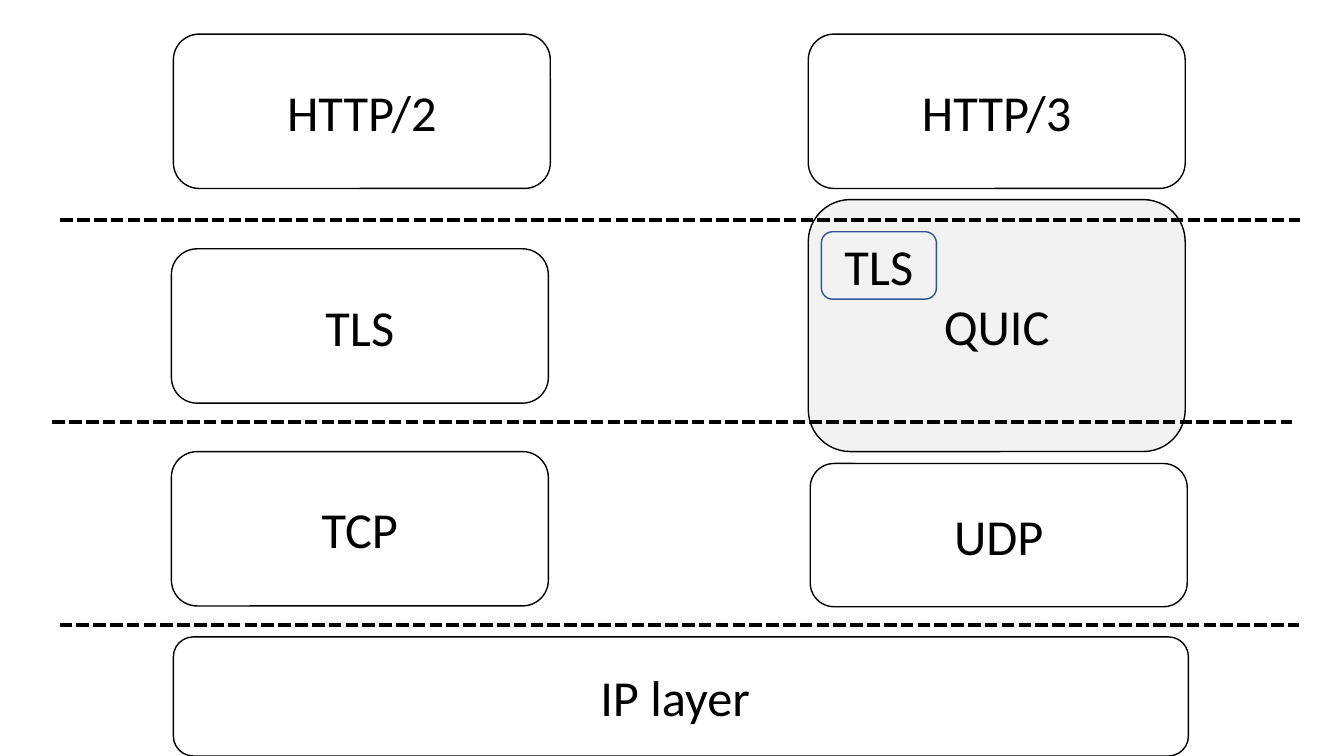
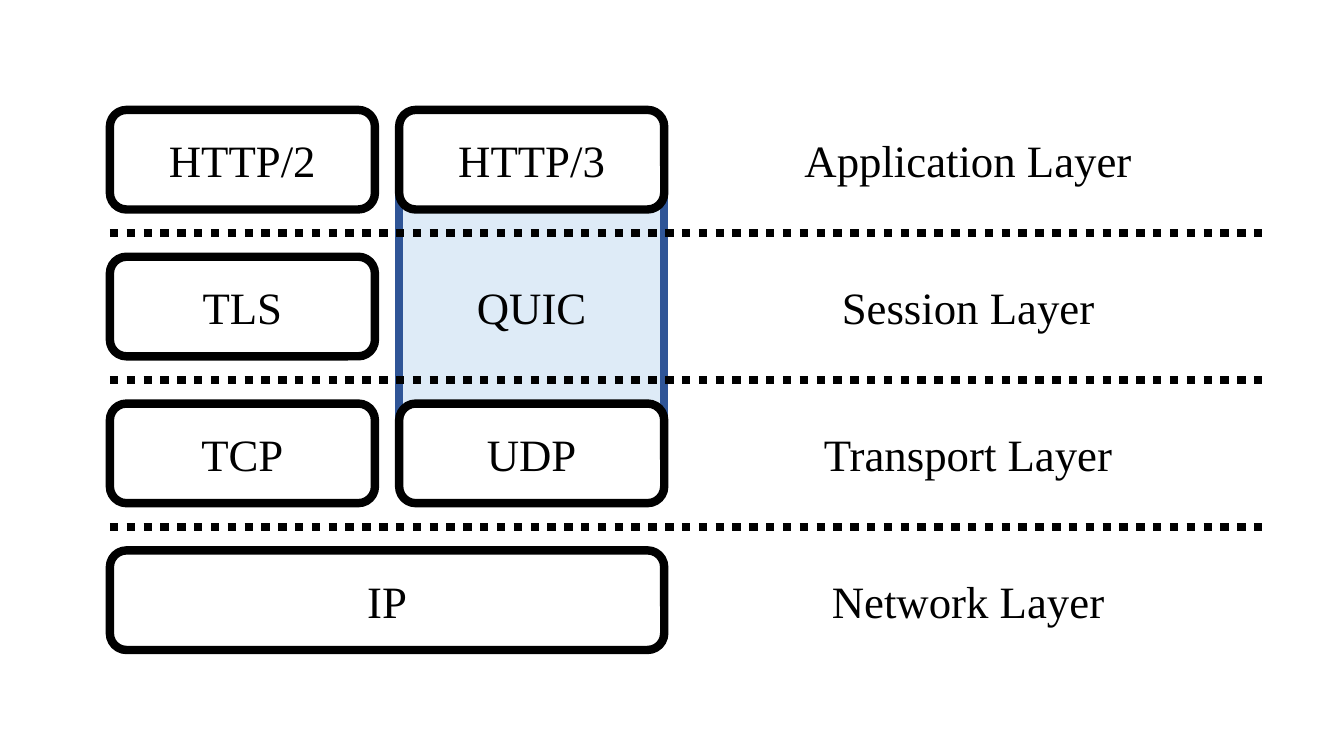
from dataclasses import dataclass

from lxml import etree
from pptx import Presentation
from pptx import util as u
from pptx.dml.color import RGBColor
from pptx.enum import dml, shapes, text
from pptx.oxml import ns

BLANK_LAYOUT = 6
SHAPE = shapes.MSO_SHAPE
DASH = dml.MSO_LINE


@dataclass(frozen=True)
class Theme:
    ink: str = "000000"
    paper: str = "FFFFFF"
    grey: str = "F2F2F2"
    pale_blue: str = "DEEBF7"
    blue: str = "2F5597"
    tls_blue: str = "325491"
    sans: str = "Calibri"
    serif: str = "Times New Roman"
    sans_size: int = 36
    serif_size: int = 32
    thin: int = 1
    medium: int = 3
    thick: int = 6


THEME = Theme()


def write_text(frame, words, font, size, color=THEME.ink, wrap=True):
    frame.word_wrap = wrap
    frame.vertical_anchor = text.MSO_ANCHOR.MIDDLE
    paragraph = frame.paragraphs[0]
    paragraph.alignment = text.PP_ALIGN.CENTER
    run = paragraph.add_run()
    run.text = words
    run.font.name = font
    run.font.size = u.Pt(size)
    run.font.color.rgb = RGBColor.from_string(color)


class Diagram:
    def __init__(self, presentation, font, size, kind, outline):
        layout = presentation.slide_layouts[BLANK_LAYOUT]
        self.slide = presentation.slides.add_slide(layout)
        self.font = font
        self.size = size
        self.kind = kind
        self.outline = outline

    def box(self, left, top, width, height, words="", fill=None,
            line=THEME.ink, kind=None):
        shape = self.slide.shapes.add_shape(
            kind or self.kind, u.Cm(left), u.Cm(top), u.Cm(width), u.Cm(height))
        shape.shadow.inherit = False
        if fill:
            shape.fill.solid()
            shape.fill.fore_color.rgb = RGBColor.from_string(fill)
        else:
            shape.fill.background()
        if line:
            shape.line.color.rgb = RGBColor.from_string(line)
            shape.line.width = u.Pt(self.outline)
        else:
            shape.line.fill.background()
        if words:
            write_text(shape.text_frame, words, font=self.font, size=self.size)

    def line(self, start, end, color=THEME.ink, width=THEME.thick, dash=None):
        connector = self.slide.shapes.add_connector(
            shapes.MSO_CONNECTOR.STRAIGHT, *map(u.Cm, start + end))
        connector.line.color.rgb = RGBColor.from_string(color)
        connector.line.width = u.Pt(width)
        if dash:
            connector.line.dash_style = dash
        etree.SubElement(connector._element.spPr, ns.qn("a:effectLst"))

    def label(self, center, middle, width, words, height=1.63):
        shape = self.slide.shapes.add_textbox(
            u.Cm(center - width / 2), u.Cm(middle - height / 2),
            u.Cm(width), u.Cm(height))
        write_text(shape.text_frame, words, font=self.font, size=self.size,
                   wrap=False)


def build_protocol_stacks(presentation):
    diagram = Diagram(presentation, THEME.sans, THEME.sans_size,
                      SHAPE.FLOWCHART_ALTERNATE_PROCESS, THEME.thin)
    width, height = 9.5, 3.89
    diagram.box(4.37, 16.05, 25.58, 3, "IP layer ")
    for left, top, words in ((4.37, 0.86, "HTTP/2"), (4.32, 6.27, "TLS"),
                             (4.32, 11.38, "TCP"), (20.37, 0.86, "HTTP/3")):
        diagram.box(left, top, width, height, words)
    diagram.box(20.42, 11.68, width, 3.61, "UDP")
    diagram.box(20.37, 5.03, width, 6.35, "QUIC", fill=THEME.grey)
    for left, top in ((1.52, 5.54), (1.32, 10.64), (1.5, 15.75)):
        diagram.line((left, top), (left + 31.24, top), width=THEME.medium,
                     dash=DASH.SQUARE_DOT)
    diagram.box(20.7, 5.84, 2.9, 1.7, "TLS", line=THEME.tls_blue)


def build_layer_model(presentation):
    diagram = Diagram(presentation, THEME.serif, THEME.serif_size,
                      SHAPE.ROUNDED_RECTANGLE, THEME.thick)
    left, right, width, height = 2.77, 10.06, 6.68, 2.51
    pitch, line_end, label_center = 3.7, 31.88, 24.4
    tops = [2.77 + pitch * row for row in range(4)]
    middles = [top + height / 2 for top in tops]

    diagram.box(right, middles[0], width, 2 * pitch, fill=THEME.pale_blue,
                line=None, kind=SHAPE.RECTANGLE)
    for top, words in zip(tops, ("HTTP/2", "TLS", "TCP")):
        diagram.box(left, top, width, height, words, fill=THEME.paper)
    diagram.box(left, tops[3], right + width - left, height, "IP",
                fill=THEME.paper)
    diagram.box(right, tops[1], width, height, "QUIC", line=None)
    for edge in (right, right + width):
        diagram.line((edge, middles[0]), (edge, middles[2]), color=THEME.blue)
    for top, words in ((tops[2], "UDP"), (tops[0], "HTTP/3")):
        diagram.box(right, top, width, height, words, fill=THEME.paper)

    for top in tops[1:]:
        divider = top - (pitch - height) / 2
        diagram.line((left, divider), (line_end, divider), dash=DASH.ROUND_DOT)
    labels = (("Application Layer", 8.84), ("Session Layer", 6.93),
              ("Transport Layer", 7.85), ("Network Layer", 7.44))
    for middle, (words, label_width) in zip(middles, labels):
        diagram.label(label_center, middle, label_width, words)


def main():
    presentation = Presentation()
    presentation.slide_width = u.Cm(33.87)
    presentation.slide_height = u.Cm(19.05)
    build_protocol_stacks(presentation)
    build_layer_model(presentation)
    presentation.save("out.pptx")


if __name__ == "__main__":
    main()
